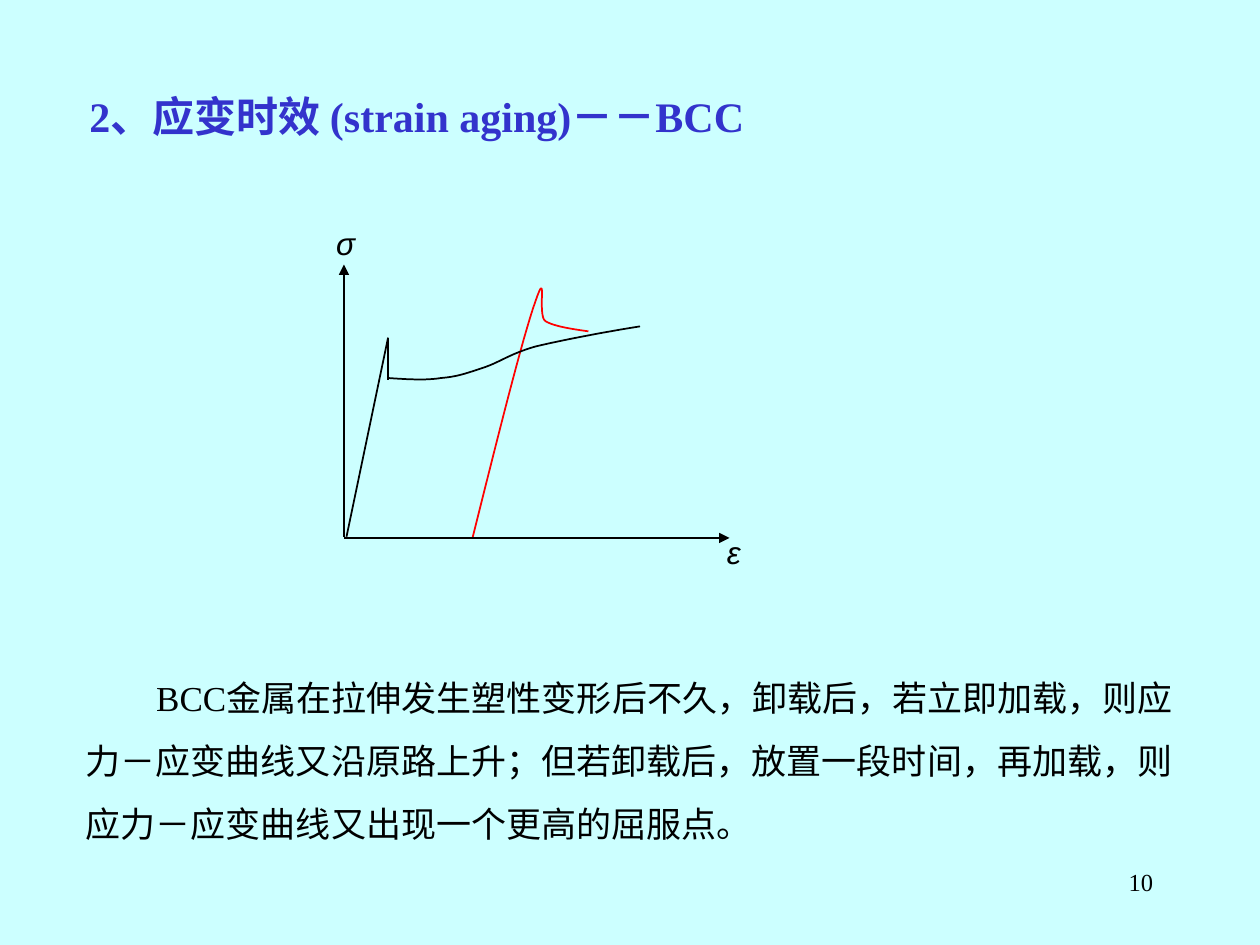
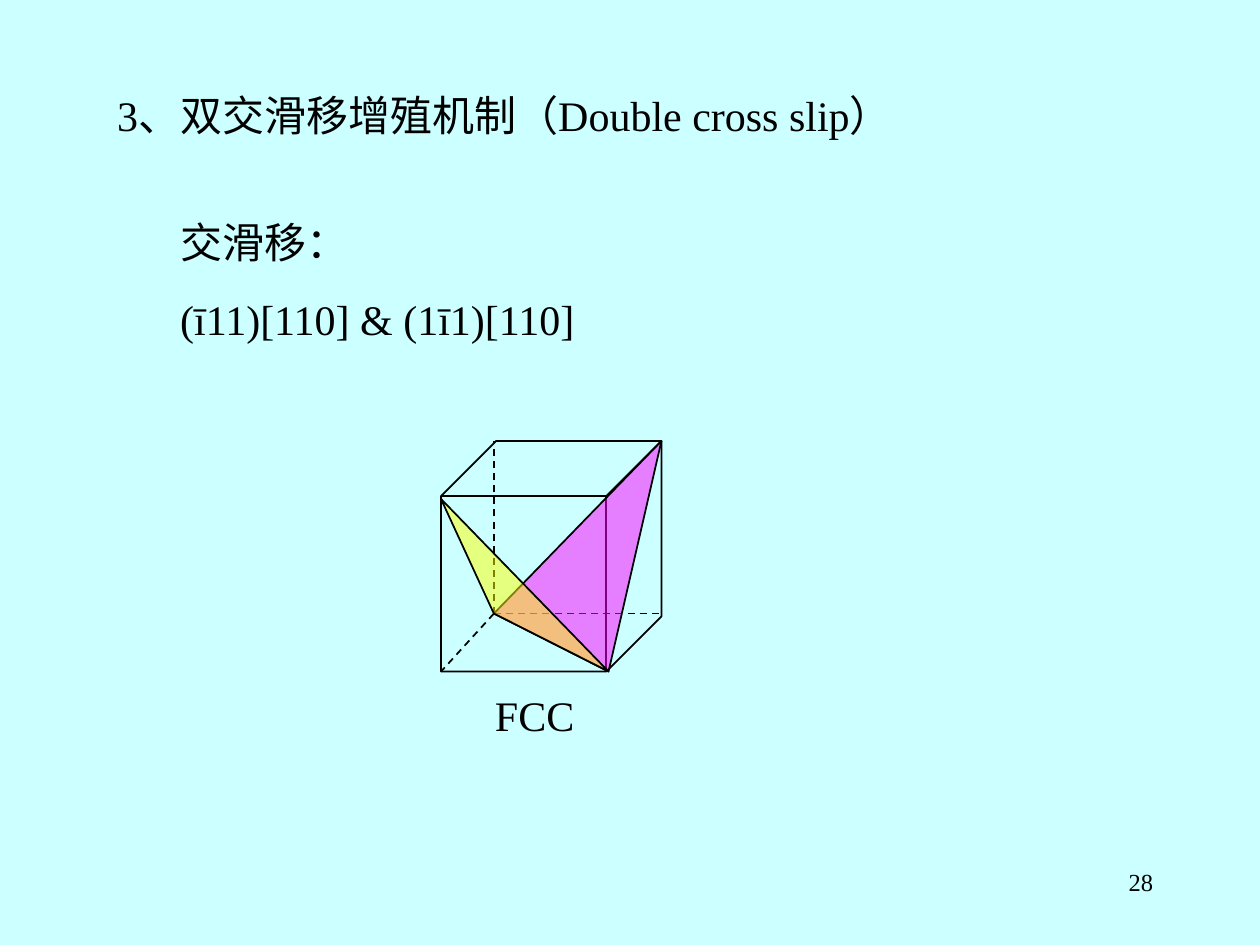
from pptx import Presentation
from pptx.dml.color import RGBColor
from pptx.enum.dml import MSO_LINE
from pptx.enum.shapes import MSO_CONNECTOR, MSO_SHAPE
from pptx.enum.text import MSO_ANCHOR, MSO_AUTO_SIZE, PP_ALIGN
from pptx.oxml.ns import qn
from pptx.util import Inches, Pt
from lxml.etree import SubElement

BACKGROUND = RGBColor(0xCC, 0xFF, 0xFF)
BLACK = RGBColor(0, 0, 0)
TITLE_BLUE = RGBColor(0x33, 0x33, 0xCC)
RED = RGBColor(0xFF, 0, 0)
MAGENTA = RGBColor(0xFF, 0, 0xFF)
YELLOW = RGBColor(0xFF, 0xFF, 0)
SERIF = "Times New Roman"


def write(box, place, text, size, color=BLACK, font=SERIF, bold=False, italic=False,
          align=PP_ALIGN.LEFT, spacing=1.0, before=0, indent=0, wrap=True):
    """Place a box (left, top, width, height in inches) and format its text without bullets."""
    box.left, box.top, box.width, box.height = [Inches(length) for length in place]
    frame = box.text_frame
    frame.text = text
    frame.word_wrap = wrap
    frame.auto_size = MSO_AUTO_SIZE.NONE
    frame.vertical_anchor = MSO_ANCHOR.TOP
    for index, para in enumerate(frame.paragraphs):
        properties = para._p.get_or_add_pPr()
        properties.set("marL", "0")
        properties.set("indent", str(Inches(indent)))
        SubElement(properties, qn("a:buNone"))
        para.alignment = align
        para.line_spacing = spacing
        para.space_before = Pt(before if index else 0)
        for span in para.runs:
            span.font.name = font
            span.font.size = Pt(size)
            span.font.bold = bold
            span.font.italic = italic
            span.font.color.rgb = color


def stroke(shape, color=BLACK):
    """Give a shape or connector a 1 pt line and no shadow."""
    shape.line.color.rgb = color
    shape.line.width = Pt(1)
    SubElement(shape._element.spPr, qn("a:effectLst"))


deck = Presentation()
deck.slide_width, deck.slide_height = Inches(10), Inches(7.5)
background = deck.slide_master.background.fill
background.solid()
background.fore_color.rgb = BACKGROUND

pages = []
for number in ("10", "28"):
    page = deck.slides.add_slide(deck.slide_layouts[1])
    write(page.shapes.add_textbox(0, 0, 0, 0), (7.17, 6.83, 2.08, 0.5), number, 14,
          align=PP_ALIGN.RIGHT)
    pages.append(page)
aging_page, slip_page = pages

# Strain aging
write(aging_page.shapes.title, (0.61, 0.67, 5.71, 0.5),
      "2、应变时效 (strain aging)－－BCC", 24, color=TITLE_BLUE, bold=True, wrap=False)
write(aging_page.placeholders[1], (0.58, 5.15, 9, 1.6),
      "BCC金属在拉伸发生塑性变形后不久，卸载后，若立即加载，则应力－应变曲线又沿原路上升；"
      "但若卸载后，放置一段时间，再加载，则应力－应变曲线又出现一个更高的屈服点。",
      20, spacing=1.5, indent=0.56)

diagram = aging_page.shapes.add_group_shape().shapes
reloading_curve = [(3.75, 4.27), (3.95, 3.47), (4.15, 2.67), (4.25, 2.39), (4.35, 2.1),
                   (4.26, 2.51), (4.33, 2.55), (4.4, 2.59), (4.53, 2.61), (4.67, 2.63)]
hardening_curve = [(3.08, 3), (3.23, 3.01), (3.38, 3.02), (3.5, 3), (3.63, 2.99),
                   (3.71, 2.96), (3.83, 2.92), (3.96, 2.88), (4.04, 2.81), (4.25, 2.75),
                   (4.46, 2.7), (4.77, 2.64), (5.08, 2.59)]
STEPS = 16
for controls, color in ((reloading_curve, RED), (hardening_curve, BLACK)):
    points = []
    for first in range(0, len(controls) - 1, 3):
        for step in range(1, STEPS + 1):
            t = step / STEPS
            weights = ((1 - t) ** 3, 3 * t * (1 - t) ** 2, 3 * t ** 2 * (1 - t), t ** 3)
            x, y = [sum(weight * value for weight, value in zip(weights, values))
                    for values in zip(*controls[first:first + 4])]
            points.append((Inches(x), Inches(y)))
    start_x, start_y = controls[0]
    builder = diagram.build_freeform(Inches(start_x), Inches(start_y))
    builder.add_line_segments(points, close=False)
    curve = builder.convert_to_shape()
    curve.fill.background()
    stroke(curve, color)

strain_axis = (2.73, 4.27, 5.79, 4.27)
stress_axis = (2.73, 4.26, 2.73, 2.1)
elastic_rise = (2.75, 4.26, 3.08, 2.68)
yield_drop = (3.08, 2.68, 3.08, 3.02)
for ends in (strain_axis, stress_axis, elastic_rise, yield_drop):
    line = diagram.add_connector(MSO_CONNECTOR.STRAIGHT, *[Inches(value) for value in ends])
    stroke(line)
    if ends in (strain_axis, stress_axis):
        SubElement(line.line._get_or_add_ln(), qn("a:tailEnd"), type="triangle")

for symbol, left, top in (("ε", 5.67, 4.18), ("σ", 2.57, 1.73)):
    write(diagram.add_textbox(0, 0, 0, 0), (left, top, 0.42, 0.4), symbol, 18,
          font="Arial", italic=True)

# Double cross slip
write(slip_page.shapes.title, (0.83, 0.58, 7.33, 0.58),
      "3、双交滑移增殖机制（Double cross slip）", 24, spacing=1.2)
write(slip_page.placeholders[1], (1.33, 1.67, 3.75, 1.11),
      "交滑移：\n(ī11)[110] & (1ī1)[110]", 24, before=15)

crystal = slip_page.shapes.add_group_shape().shapes
cube = crystal.add_shape(MSO_SHAPE.CUBE, Inches(3.5), Inches(3.5), Inches(1.75), Inches(1.83))
cube.adjustments[0] = 0.25
cube.fill.background()
stroke(cube)

hidden_corner = (3.92, 4.87)
front_corner = (4.83, 5.33)
for edge_end in ((3.92, 3.5), (5.25, 4.87), (3.5, 5.33)):
    edge = crystal.add_connector(MSO_CONNECTOR.STRAIGHT,
                                 *[Inches(value) for value in hidden_corner + edge_end])
    stroke(edge)
    edge.line.dash_style = MSO_LINE.DASH

for top_corner, color in (((5.25, 3.5), MAGENTA), ((3.5, 3.96), YELLOW)):
    corners = [(Inches(x), Inches(y)) for x, y in (hidden_corner, top_corner, front_corner)]
    builder = crystal.build_freeform(*corners[0])
    builder.add_line_segments(corners[1:], close=True)
    slip_plane = builder.convert_to_shape()
    slip_plane.fill.solid()
    slip_plane.fill.fore_color.rgb = color
    fill_color = slip_plane._element.spPr.find(qn("a:solidFill"))[0]
    SubElement(fill_color, qn("a:alpha"), val="50000")
    stroke(slip_plane)

write(crystal.add_textbox(0, 0, 0, 0), (3.83, 5.42, 0.92, 0.5), "FCC", 24)

# Child shapes were placed after joining their groups, so the group frames are refreshed.
for group in (diagram, crystal):
    group._recalculate_extents()

deck.save("out.pptx")
